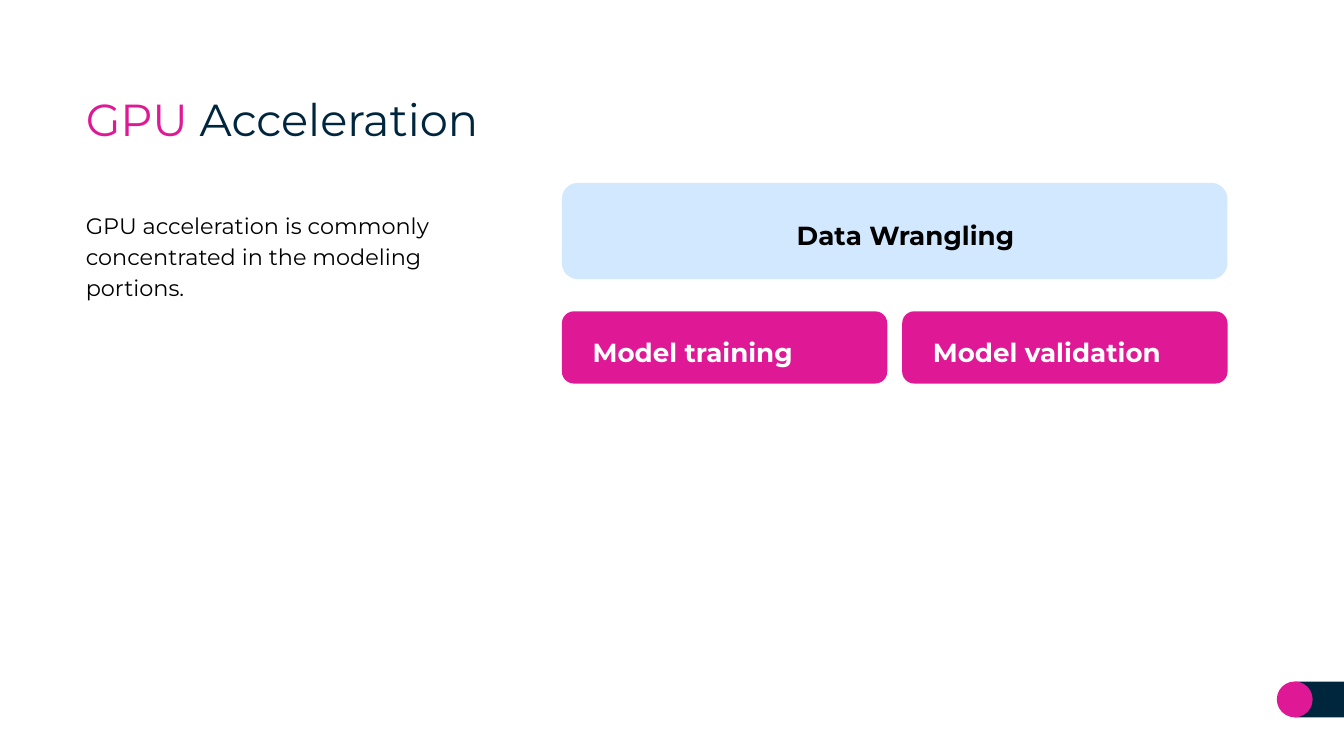
"""Build the GPU Acceleration slide."""
from pptx import Presentation
from pptx.dml.color import RGBColor
from pptx.enum.shapes import MSO_SHAPE
from pptx.enum.text import MSO_ANCHOR, MSO_AUTO_SIZE
from pptx.util import Pt

TITLE = [("GPU ", "pink"), ("Acceleration", "navy")]
BODY = "GPU acceleration is commonly concentrated in the modeling portions."
WRANGLING = "Data Wrangling"
MODEL_STEPS = [("Model training", 132.5), ("Model validation", 149)]

THEME = {
    "font": "Montserrat",
    "pink": RGBColor(0xDF, 0x19, 0x95),
    "navy": RGBColor(0x00, 0x26, 0x3E),
    "sky": RGBColor(0xD2, 0xE8, 0xFE),
    "black": RGBColor(0, 0, 0),
    "white": RGBColor(0xFF, 0xFF, 0xFF),
    "title": Pt(24),
    "label": Pt(14),
    "body": Pt(12),
}
SLIDE_WIDTH, SLIDE_HEIGHT = 720, 405
TEXT_LEFT = 38.9
DIAGRAM_LEFT, DIAGRAM_WIDTH = 301, 356.6
WRANGLING_TOP, WRANGLING_HEIGHT = 98, 51.6
STEP_TOP, STEP_HEIGHT, STEP_GAP = 166.8, 38.7, 8
LABEL_HEIGHT = 31.7
BADGE_LEFT, BADGE_TOP, BADGE_SIZE = 684, 365.1, 19.2


def set_all(target, values):
    for name, value in values.items():
        setattr(target, name, value)


def add_panel(page, kind, color, *frame):
    panel = page.shapes.add_shape(kind, *map(Pt, frame))
    panel.shadow.inherit = False
    panel.fill.solid()
    panel.fill.fore_color.rgb = THEME[color]
    panel.line.fill.background()
    return panel


def add_text(page, spans, size, frame, bold=False, title=False):
    box = page.shapes.add_textbox(*map(Pt, frame))
    margins = dict.fromkeys(
        ("margin_left", "margin_top", "margin_right", "margin_bottom"), Pt(7.2))
    set_all(box.text_frame, {
        **margins,
        "word_wrap": True,
        "auto_size": MSO_AUTO_SIZE.NONE if title else MSO_AUTO_SIZE.SHAPE_TO_FIT_TEXT,
        "vertical_anchor": MSO_ANCHOR.MIDDLE if title else MSO_ANCHOR.TOP,
    })
    para = box.text_frame.paragraphs[0]
    para.line_spacing = 1.0 if title else 1.15
    for text, color in spans:
        span = para.add_run()
        span.text = text
        set_all(span.font, {"name": THEME["font"], "size": THEME[size], "bold": bold})
        span.font.color.rgb = THEME[color]


def add_diagram(page):
    add_panel(page, MSO_SHAPE.ROUNDED_RECTANGLE, "sky",
              DIAGRAM_LEFT, WRANGLING_TOP, DIAGRAM_WIDTH, WRANGLING_HEIGHT)
    label_top = WRANGLING_TOP + (WRANGLING_HEIGHT - LABEL_HEIGHT) / 2
    add_text(page, [(WRANGLING, "black")], "label",
             (419.7, label_top, 157, LABEL_HEIGHT), bold=True)
    count = len(MODEL_STEPS)
    step_width = (DIAGRAM_WIDTH - STEP_GAP * (count - 1)) / count
    for index, (label, label_width) in enumerate(MODEL_STEPS):
        left = DIAGRAM_LEFT + index * (step_width + STEP_GAP)
        add_panel(page, MSO_SHAPE.ROUNDED_RECTANGLE, "pink",
                  left, STEP_TOP, step_width, STEP_HEIGHT)
        add_text(page, [(label, "white")], "label",
                 (left + 9.4, STEP_TOP + 3.8, label_width, LABEL_HEIGHT), bold=True)


def main():
    deck = Presentation()
    set_all(deck, {"slide_width": Pt(SLIDE_WIDTH), "slide_height": Pt(SLIDE_HEIGHT)})
    page = deck.slides.add_slide(deck.slide_layouts[6])
    bar_left = BADGE_LEFT + BADGE_SIZE / 2
    add_panel(page, MSO_SHAPE.RECTANGLE, "navy",
              bar_left, BADGE_TOP, SLIDE_WIDTH - bar_left, BADGE_SIZE)
    add_panel(page, MSO_SHAPE.OVAL, "pink",
              BADGE_LEFT, BADGE_TOP, BADGE_SIZE, BADGE_SIZE)
    add_text(page, TITLE, "title", (TEXT_LEFT, 33.1, 644.4, 61.2), title=True)
    add_diagram(page)
    add_text(page, [(BODY, "black")], "body", (TEXT_LEFT, 104.4, 247.7, 64.8))
    deck.save("out.pptx")


if __name__ == "__main__":
    main()
